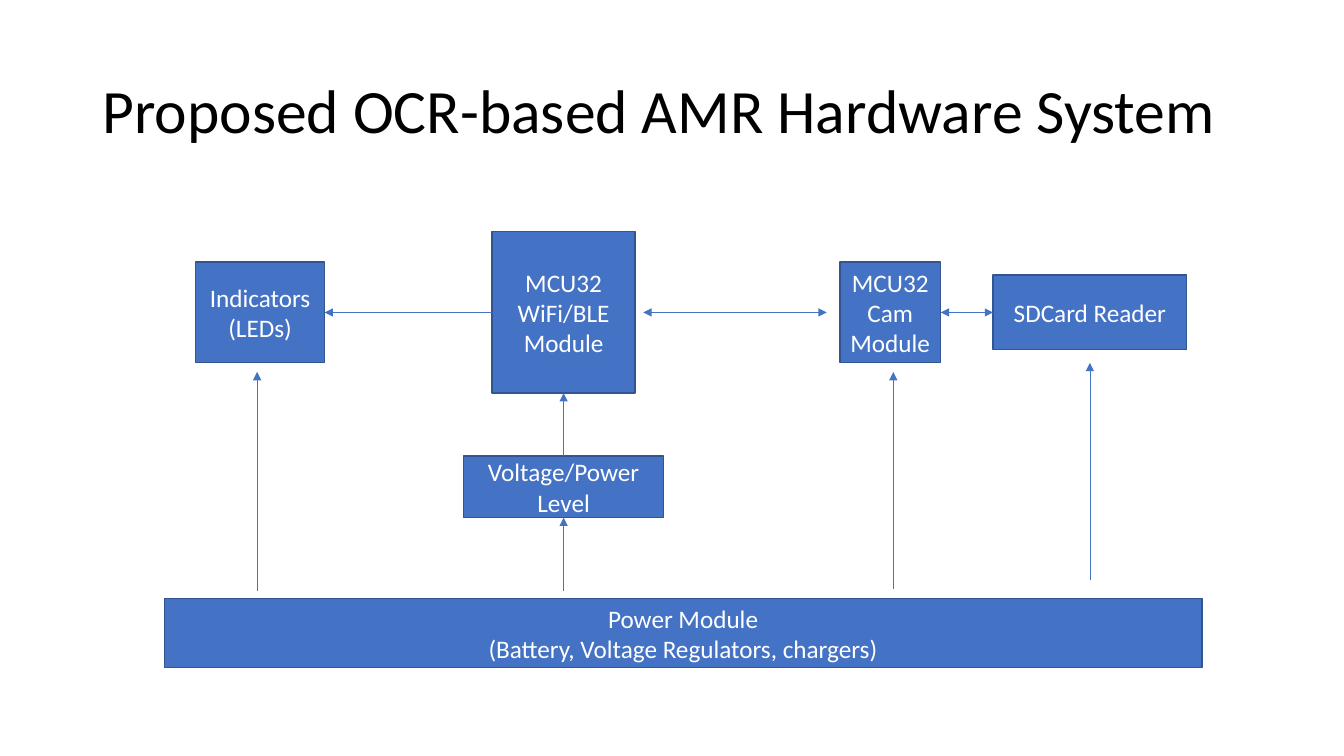
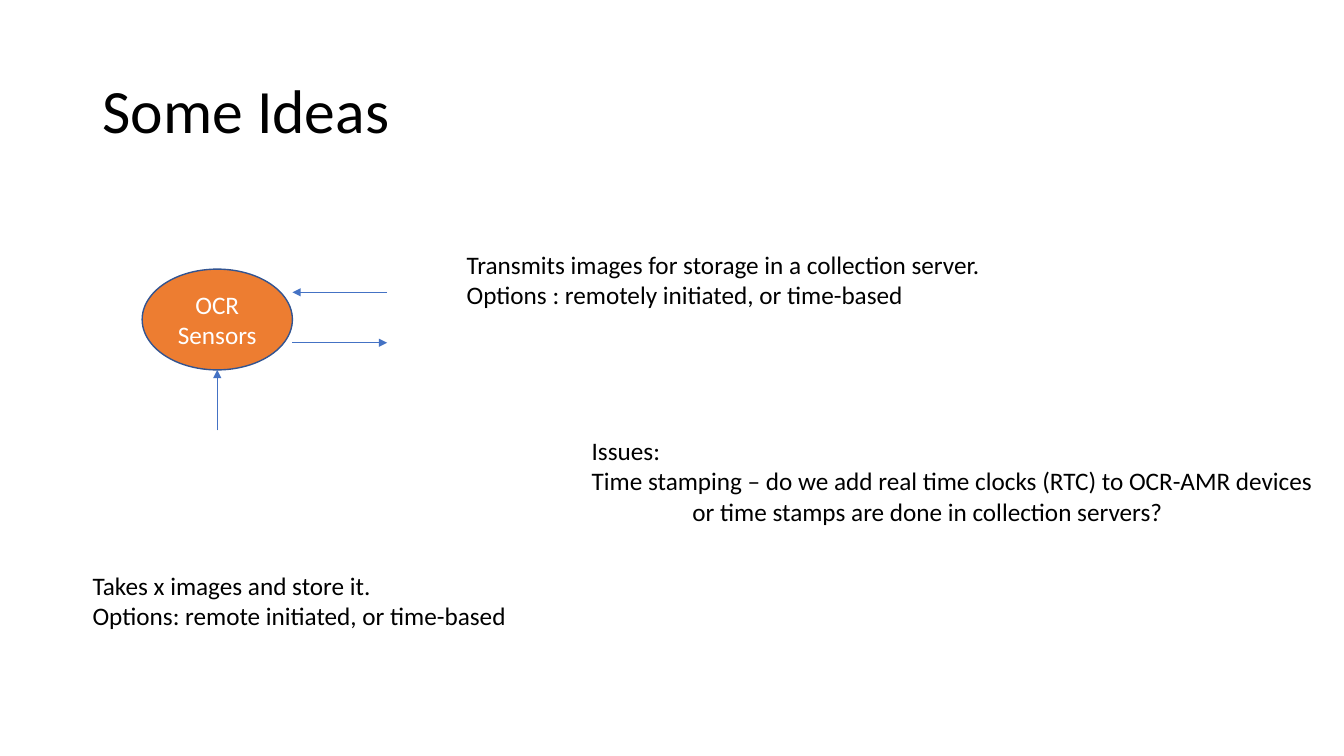
from lxml import etree
from pptx import Presentation
from pptx.dml.color import RGBColor
from pptx.enum.shapes import MSO_CONNECTOR, MSO_SHAPE
from pptx.enum.text import MSO_ANCHOR, MSO_AUTO_SIZE, PP_ALIGN
from pptx.oxml.ns import qn
from pptx.util import Inches, Pt

RECT, OVAL = MSO_SHAPE.RECTANGLE, MSO_SHAPE.OVAL
STRAIGHT = MSO_CONNECTOR.STRAIGHT
MIDDLE = MSO_ANCHOR.MIDDLE
CENTER, LEFT = PP_ALIGN.CENTER, PP_ALIGN.LEFT
GROW = MSO_AUTO_SIZE.SHAPE_TO_FIT_TEXT
TOP_SIDE, LEFT_SIDE, BOTTOM_SIDE, RIGHT_SIDE = range(4)

FONT = "Calibri"
COLORS = {
    "text": "000000",
    "inverse": "FFFFFF",
    "block": "4472C4",
    "sensor": "ED7D31",
    "outline": "325491",
    "arrow": "4472C4",
}


def color(name):
    return RGBColor.from_string(COLORS[name])


def write(tf, lines, size=18, ink="text", align=LEFT):
    for i, line in enumerate(lines):
        p = tf.paragraphs[0] if i == 0 else tf.add_paragraph()
        p.alignment = align
        r = p.add_run()
        r.text = line
        r.font.name = FONT
        r.font.size = Pt(size)
        r.font.color.rgb = color(ink)


def add_title_slide(prs, title):
    """Add a blank slide with the shared title style."""
    s = prs.slides.add_slide(prs.slide_layouts[6])
    box = s.shapes.add_textbox(Inches(0.92), Inches(0.4), Inches(11.5), Inches(1.45))
    tf = box.text_frame
    tf.word_wrap = True
    tf.vertical_anchor = MIDDLE
    write(tf, [title], size=44)
    tf.paragraphs[0].line_spacing = 0.9
    return s


def add_node(s, cx, cy, width, height, lines, fill="block", kind=RECT):
    """Add a labelled shape centred on (cx, cy)."""
    sp = s.shapes.add_shape(kind, Inches(cx - width / 2), Inches(cy - height / 2),
                            Inches(width), Inches(height))
    sp.shadow.inherit = False
    sp.fill.solid()
    sp.fill.fore_color.rgb = color(fill)
    sp.line.color.rgb = color("outline")
    sp.line.width = Pt(1)
    tf = sp.text_frame
    tf.word_wrap = True
    tf.vertical_anchor = MIDDLE
    write(tf, lines, ink="inverse", align=CENTER)
    return sp


def add_arrow(s, start=(0, 0), end=(0, 0), begin_at=None, end_at=None, both=False):
    """Draw an arrow; begin_at and end_at are (shape, side) pairs to join."""
    c = s.shapes.add_connector(STRAIGHT, *(Inches(v) for v in (*start, *end)))
    if begin_at:
        c.begin_connect(*begin_at)
    if end_at:
        c.end_connect(*end_at)
    c.line.color.rgb = color("arrow")
    c.line.width = Pt(0.5)
    ln = c.line._get_or_add_ln()
    for tag in ("a:headEnd", "a:tailEnd") if both else ("a:tailEnd",):
        etree.SubElement(ln, qn(tag)).set("type", "triangle")
    etree.SubElement(c._element.spPr, qn("a:effectLst"))


def add_note(s, left, top, width, height, lines):
    box = s.shapes.add_textbox(Inches(left), Inches(top), Inches(width), Inches(height))
    tf = box.text_frame
    tf.word_wrap = False
    tf.auto_size = GROW
    write(tf, lines)
    return tf


def draw_hardware(s, left, top, width, height):
    """Draw the module row above a power bar that fills the width of the box."""
    row, bar = top + 0.8, 0.68
    wifi_x, cam_x, reader_x = left + 3.96, left + 7.2, left + 9.18

    wifi = add_node(s, wifi_x, row, 1.42, 1.6, ["MCU32", "WiFi/BLE", "Module"])
    cam = add_node(s, cam_x, row, 1, 1, ["MCU32", "Cam", "Module"])
    add_node(s, left + width / 2, top + height - bar / 2, width, bar,
             ["Power Module", "(Battery, Voltage Regulators, chargers)"])
    level = add_node(s, wifi_x, top + 2.53, 1.98, 0.61, ["Voltage/Power Level"])
    leds = add_node(s, left + 0.95, row, 1.28, 1, ["Indicators", "(LEDs)"])
    reader = add_node(s, reader_x, row, 1.92, 0.74, ["SDCard Reader"])

    add_arrow(s, begin_at=(wifi, LEFT_SIDE), end_at=(leds, RIGHT_SIDE))
    add_arrow(s, (left + 4.75, row), (left + 6.57, row), both=True)
    add_arrow(s, begin_at=(level, TOP_SIDE), end_at=(wifi, BOTTOM_SIDE))
    add_arrow(s, begin_at=(cam, RIGHT_SIDE), end_at=(reader, LEFT_SIDE), both=True)

    add_arrow(s, (wifi_x, top + 3.56), end_at=(level, BOTTOM_SIDE))
    for x, y1, y2 in ((left + 0.92, 3.56, 1.39), (left + 7.23, 3.54, 1.39),
                      (reader_x, 3.45, 1.3)):
        add_arrow(s, (x, top + y1), (x, top + y2))


def draw_sensor(s, left, top, width, height):
    """Draw the sensor in the box, with arrows in and out of it."""
    cx, cy = left + width / 2, top + height / 2
    right, bottom = left + width, top + height
    add_node(s, cx, cy, width, height, ["OCR", "Sensors"], "sensor", OVAL)
    add_arrow(s, (cx, bottom + 0.6), (cx, bottom))
    add_arrow(s, (right, cy + 0.23), (right + 0.94, cy + 0.23))
    add_arrow(s, (right + 0.94, cy - 0.27), (right, cy - 0.27))


def draw_notes(s):
    add_note(s, 0.82, 5.61, 4.33, 0.71,
             ["Takes x images and store it.",
              "Options: remote initiated, or time-based"])
    add_note(s, 4.53, 2.42, 5.35, 0.71,
             ["Transmits images for storage in a collection server.",
              "Options : remotely initiated, or time-based"])
    issues = add_note(s, 5.77, 4.27, 7.44, 1.31,
                      ["Issues:",
                       "Time stamping – do we add real time clocks (RTC) to OCR-AMR devices",
                       "or time stamps are done in collection servers?"])
    pPr = issues.paragraphs[-1]._p.get_or_add_pPr()
    pPr.set("marL", str(Inches(1)))


def main():
    prs = Presentation()
    prs.slide_width, prs.slide_height = Inches(13.33), Inches(7.5)

    s = add_title_slide(prs, "Proposed OCR-based AMR Hardware System")
    draw_hardware(s, 1.63, 2.3, 10.29, 4.32)

    s = add_title_slide(prs, "Some Ideas")
    draw_sensor(s, 1.41, 2.67, 1.49, 1)
    draw_notes(s)

    prs.save("out.pptx")


if __name__ == "__main__":
    main()
